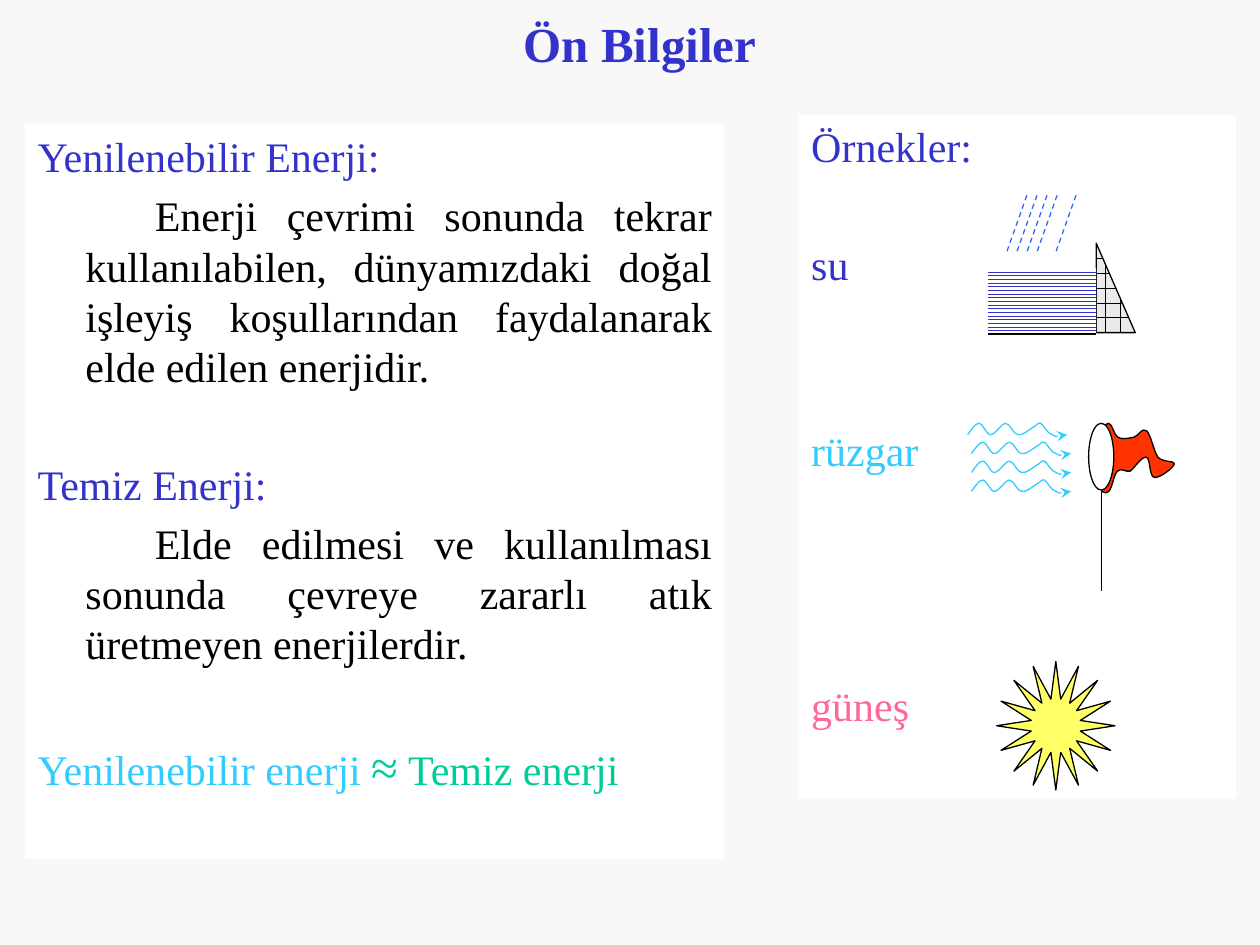
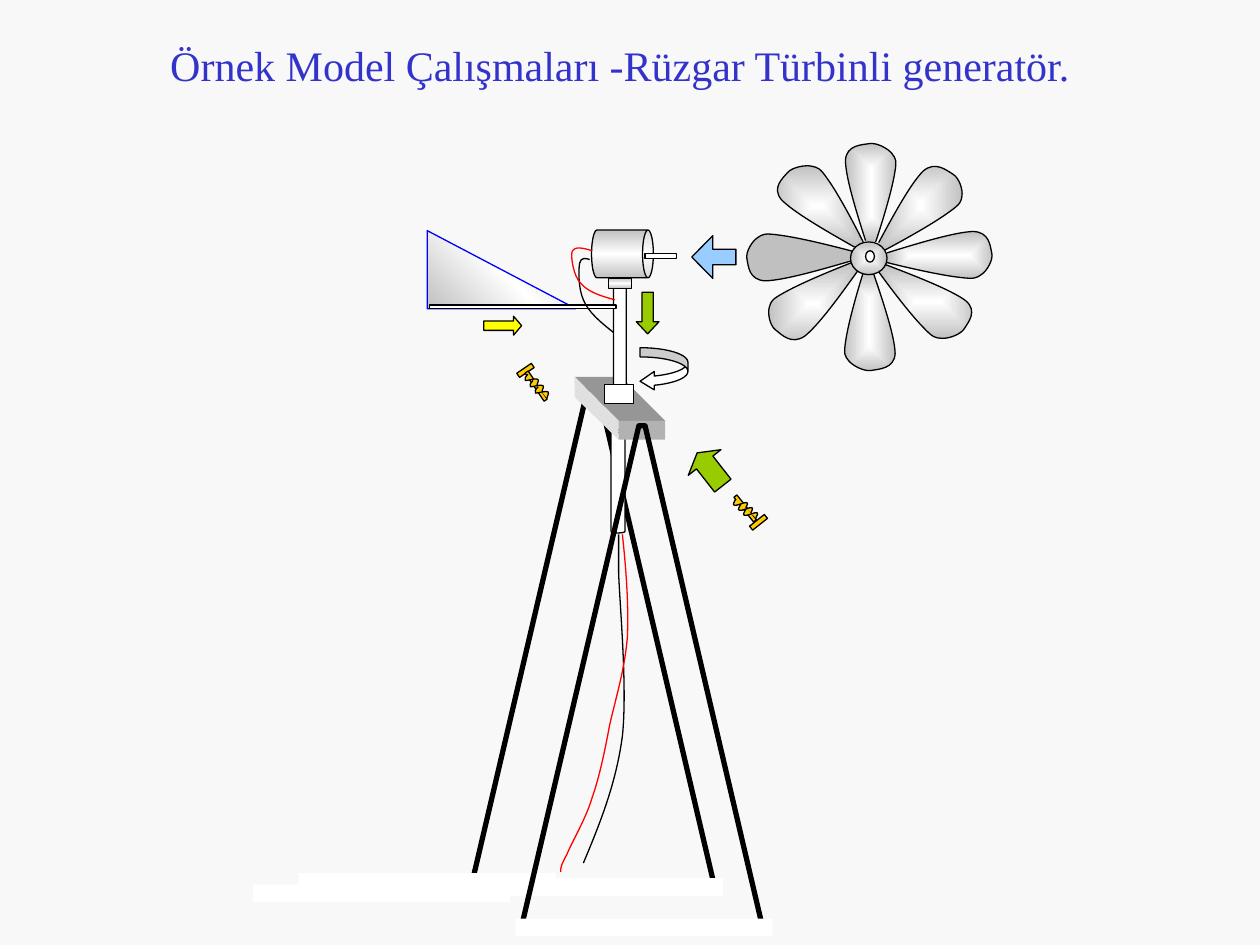
from math import cos, radians, sin

from lxml import etree
from pptx import Presentation
from pptx import util as u
from pptx.dml.color import RGBColor
from pptx.enum import dml, shapes, text
from pptx.oxml import parse_xml
from pptx.oxml.ns import nsdecls, qn

KIND = shapes.MSO_SHAPE
FONT = "Times New Roman"
BLUE, SKY, BLACK, WHITE = "3333CC", "33CCFF", "000000", "FFFFFF"
PAPER, SILVER, GOLD, LIME, RED = "F8F8F8", "C0C0C0", "FFCC00", "99CC00", "FF0000"
HANG = (0.38, -0.38)
FIRST = (0.38, 0.55)
SHEEN = (SILVER, WHITE, SILVER)


def inch(value):
    return u.Cm(value * 2.54)


def tint(code):
    return RGBColor.from_string(code)


def say(para, words, size=24, hue=BLUE, bold=False):
    run = para.add_run()
    run.text = words
    font = run.font
    font.name, font.size, font.bold = FONT, u.Pt(size), bold
    font.color.rgb = tint(hue)


def blend(hues, angle=None):
    last = len(hues) - 1
    stops = "".join(
        f'<a:gs pos="{100000 * i // last}"><a:srgbClr val="{hue}"/></a:gs>'
        for i, hue in enumerate(hues))
    if angle is None:
        way = ('<a:path path="rect"><a:fillToRect l="50000" t="50000" '
               'r="50000" b="50000"/></a:path>')
    else:
        way = f'<a:lin ang="{angle * 60000}" scaled="1"/>'
    return parse_xml(f'<a:gradFill {nsdecls("a")} rotWithShape="1">'
                     f'<a:gsLst>{stops}</a:gsLst>{way}</a:gradFill>')


def shift(dots, dx, dy):
    return [(x + dx, y + dy) for x, y in dots]


class Deck:
    def __init__(self):
        self.show = Presentation()
        self.show.slide_width, self.show.slide_height = inch(10), inch(7.5)

    def page(self):
        self.slide = self.show.slides.add_slide(self.show.slide_layouts[6])
        self.pool = self.slide.shapes
        fill = self.slide.background.fill
        fill.solid()
        fill.fore_color.rgb = tint(PAPER)

    def frame(self, x, y, w, h):
        box = self.pool.add_textbox(*map(inch, (x, y, w, h)))
        box.text_frame.word_wrap = True
        return box

    def title(self, runs, x, y, w, h):
        body = self.frame(x, y, w, h).text_frame
        body.vertical_anchor = text.MSO_ANCHOR.MIDDLE
        para = body.paragraphs[0]
        para.alignment = text.PP_ALIGN.CENTER
        for words, look in runs:
            say(para, words, **look)

    def panel(self, x, y, w, h, rows):
        box = self.frame(x, y, w, h)
        box.fill.solid()
        box.fill.fore_color.rgb = tint(WHITE)
        body = box.text_frame
        for i, (runs, gap, dent) in enumerate(rows):
            para = body.add_paragraph() if i else body.paragraphs[0]
            para.space_before = u.Pt(gap)
            if dent == FIRST:
                para.alignment = text.PP_ALIGN.JUSTIFY
            props = para._p.get_or_add_pPr()
            props.set("marL", str(inch(dent[0])))
            props.set("indent", str(inch(dent[1])))
            for words, look in runs:
                say(para, words, **look)

    def paint(self, item, fill=None, line=None, width=0.75, angle=None):
        item.shadow.inherit = False
        if isinstance(fill, tuple):
            item.fill.background()
            props = item._element.spPr
            props.replace(props.find(qn("a:noFill")), blend(fill, angle))
        elif fill:
            item.fill.solid()
            item.fill.fore_color.rgb = tint(fill)
        else:
            item.fill.background()
        if line:
            item.line.color.rgb = tint(line)
            item.line.width = u.Pt(width)
        else:
            item.line.fill.background()
        return item

    def shape(self, kind, x, y, w, h, fill=WHITE, line=BLACK, turn=0, adj=(), **look):
        item = self.pool.add_shape(kind, *map(inch, (x, y, w, h)))
        item.rotation = turn
        for i, value in enumerate(adj):
            item.adjustments[i] = value
        return self.paint(item, fill, line, **look)

    def weave(self, kind, x, y, w, h, style, fore, back, line=None):
        fill = self.shape(kind, x, y, w, h, line=line).fill
        fill.patterned()
        fill.pattern = style
        fill.fore_color.rgb, fill.back_color.rgb = tint(fore), tint(back)

    def trace(self, dots, fill=None, line=BLACK, close=False, **look):
        dots = [(inch(x), inch(y)) for x, y in dots]
        pen = self.pool.build_freeform(*dots[0])
        pen.add_line_segments(dots[1:], close=close)
        return self.paint(pen.convert_to_shape(), fill, line, **look)

    def curve(self, knots, fill=None, line=BLACK, tip=False):
        item = self.trace(knots, fill, line)
        legs = list(item._element.iter(qn("a:lnTo")))
        for i in range(0, len(legs), 3):
            arc = etree.Element(qn("a:cubicBezTo"))
            legs[i].addprevious(arc)
            for leg in legs[i:i + 3]:
                arc.append(leg[0])
                leg.getparent().remove(leg)
        if tip:
            edge = item.line._get_or_add_ln()
            etree.SubElement(edge, qn("a:tailEnd")).set("type", "stealth")

    def line(self, x, y, x2, y2, hue=BLACK, width=0.75, dash=False):
        item = self.pool.add_connector(
            shapes.MSO_CONNECTOR.STRAIGHT, *map(inch, (x, y, x2, y2)))
        item.line.color.rgb = tint(hue)
        item.line.width = u.Pt(width)
        if dash:
            item.line.dash_style = dml.MSO_LINE.DASH
        etree.SubElement(item._element.spPr, qn("a:effectLst"))


def row(words, gap=4.8, dent=HANG, **look):
    return [(words, look)], gap, dent


def basics(deck):
    deck.page()
    deck.title([("Ön Bilgiler", {"size": 28, "bold": True})], 0.83, 0, 8.5, 0.68)
    deck.panel(0.2, 0.99, 5.55, 5.83, [
        row("Yenilenebilir Enerji:", 5.4),
        row("Enerji çevrimi sonunda tekrar kullanılabilen, dünyamızdaki doğal "
            "işleyiş koşullarından faydalanarak elde edilen enerjidir.",
            dent=FIRST, hue=BLACK),
        row("Temiz Enerji:", 38.3),
        row("Elde edilmesi ve kullanılması sonunda çevreye zararlı atık "
            "üretmeyen enerjilerdir.", dent=FIRST, hue=BLACK),
        ([("Yenilenebilir enerji ", {"hue": SKY}),
          ("≈", {"size": 28, "hue": "00CC99"}),
          (" Temiz enerji", {"hue": "00CC99"})], 39, HANG)])
    deck.panel(6.34, 0.91, 3.47, 5.43, [
        row("Örnekler:", 5.4), row("su", 38.3), row("rüzgar", 77.5, hue=SKY),
        row("güneş", 117, hue="FF6699")])

    style = dml.MSO_PATTERN
    deck.weave(KIND.RIGHT_TRIANGLE, 8.7, 1.93, 0.31, 0.71,
               style.HORIZONTAL_BRICK, BLACK, "EAEAEA", BLACK)
    deck.weave(KIND.RECTANGLE, 7.84, 2.13, 0.86, 0.52, style.ZIG_ZAG, BLUE, WHITE)
    deck.line(7.84, 2.65, 8.7, 2.65, width=1)
    for x in (8.15, 8.23, 8.31, 8.39, 8.54):
        deck.line(x, 1.55, x - 0.16, 2, "3366FF", dash=True)

    wind = [
        (7.71, 3.6), (7.74, 3.56), (7.77, 3.51), (7.8, 3.51), (7.83, 3.51),
        (7.86, 3.6), (7.89, 3.6), (7.93, 3.6), (7.98, 3.51), (8.01, 3.51),
        (8.05, 3.51), (8.07, 3.6), (8.11, 3.6), (8.14, 3.61), (8.2, 3.56),
        (8.23, 3.54), (8.26, 3.53), (8.26, 3.5), (8.29, 3.51), (8.31, 3.52),
        (8.34, 3.59), (8.38, 3.6), (8.42, 3.62), (8.46, 3.61), (8.5, 3.6)]
    for i in range(4):
        deck.curve(shift(wind, 0 if i else -0.03, 0.15 * (i - 1)), line=SKY, tip=True)
    deck.line(8.74, 3.9, 8.74, 4.69)
    flag = [
        (8.74, 3.42), (8.76, 3.39), (8.78, 3.36), (8.8, 3.36), (8.83, 3.37),
        (8.84, 3.45), (8.87, 3.47), (8.9, 3.49), (8.96, 3.48), (9, 3.47),
        (9.04, 3.46), (9.06, 3.39), (9.1, 3.42), (9.13, 3.44), (9.16, 3.59),
        (9.19, 3.63), (9.23, 3.67), (9.33, 3.66), (9.32, 3.68), (9.32, 3.71),
        (9.2, 3.8), (9.16, 3.79), (9.12, 3.78), (9.13, 3.64), (9.1, 3.63),
        (9.06, 3.62), (9, 3.72), (8.97, 3.74), (8.93, 3.75), (8.9, 3.71),
        (8.87, 3.74), (8.84, 3.76), (8.83, 3.87), (8.8, 3.9), (8.78, 3.92),
        (8.76, 3.91), (8.74, 3.9)]
    deck.curve(flag, "FF3300")
    deck.shape(KIND.OVAL, 8.64, 3.36, 0.2, 0.53)
    deck.shape(KIND.STAR_16_POINT, 7.91, 5.25, 0.94, 1.02, "FFFF66", adj=[0.211])


def rotor(deck):
    hub, wide = (6.9, 2.04), 1.08
    blade = [
        (6.87, 1.91), (6.79, 1.66), (6.71, 1.4), (6.71, 1.27), (6.72, 1.15),
        (6.84, 1.15), (6.9, 1.14), (6.96, 1.13), (7.05, 1.18), (7.08, 1.22),
        (7.11, 1.26), (7.12, 1.27), (7.1, 1.38), (7.08, 1.5), (7.02, 1.71),
        (6.95, 1.92)]
    flat = [((x - hub[0]) / wide, y - hub[1]) for x, y in blade]
    for turn in (0, 179, 88, 230, 43, 269, 129, 318):
        c, s = cos(radians(turn)), sin(radians(turn))
        dots = [((x * c - y * s) * wide, x * s + y * c) for x, y in flat]
        deck.curve(shift(dots, *hub), SILVER if turn == 269 else (WHITE, SILVER))
    deck.shape(KIND.OVAL, 6.75, 1.92, 0.29, 0.26, (WHITE, SILVER))
    deck.shape(KIND.OVAL, 6.87, 1.99, 0.07, 0.09)


def foot(deck, x, y):
    deck.shape(KIND.RECTANGLE, x, y, 2.04, 0.14, line=None)


def legs(deck, x, y):
    deck.trace([(x, y + 3.97), (x + 0.93, y), (x + 0.98, y), (x + 1.91, y + 3.97)],
               close=True, width=3)


def screw(deck, head, stem, turn, coil, step):
    for spot in (head, stem):
        deck.shape(KIND.RECTANGLE, *spot, GOLD, turn=turn)
    for i in range(3):
        deck.curve(shift(coil, step[0] * i, step[1] * i), GOLD)


def turbine(deck):
    deck.page()
    deck.title([("Örnek Model Çalışmaları -Rüzgar Türbinli generatör.", {}),
                (" ", {"size": 28})], 0.62, 0.28, 8.7, 0.42)
    foot(deck, 2.01, 7.02)
    rotor(deck)
    deck.shape(KIND.RIGHT_TRIANGLE, 3.39, 1.83, 1.18, 0.62, SHEEN, "0000FF", angle=315)
    legs(deck, 3.75, 3.02)
    foot(deck, 3.7, 6.97)
    deck.shape(KIND.CAN, 4.85, 3.41, 0.11, 0.82, adj=[0.205])
    plate = [
        ("969696", [(4.56, 2.99), (4.93, 2.99), (5.28, 3.34), (4.91, 3.34)]),
        ("E0E0E0", [(4.56, 2.99), (4.91, 3.34), (4.91, 3.49), (4.56, 3.15)])]
    for hue, dots in plate:
        deck.trace(dots, hue, None, close=True)
    deck.shape(KIND.RECTANGLE, 4.91, 3.34, 0.37, 0.15, "B2B2B2", None)
    deck.shape(KIND.CAN, 4.87, 2.19, 0.1, 0.96, adj=[0.269])
    deck.shape(KIND.CAN, 4.75, 1.77, 0.38, 0.49, SHEEN, turn=90, adj=[0.225], angle=0)
    deck.shape(KIND.RECTANGLE, 4.83, 2.21, 0.18, 0.08, SHEEN, angle=90)
    deck.shape(KIND.RECTANGLE, 4.8, 3.05, 0.23, 0.15)
    foot(deck, 2.37, 6.93)
    legs(deck, 4.14, 3.38)
    foot(deck, 4.09, 7.29)
    deck.shape(KIND.RECTANGLE, 3.41, 2.42, 1.48, 0.03)
    deck.shape(KIND.RECTANGLE, 5.12, 2.01, 0.25, 0.04)

    wires = [
        (BLACK, [(4.68, 2.06), (4.65, 2.05), (4.61, 2.04), (4.6, 2.09), (4.59, 2.15),
                 (4.59, 2.29), (4.63, 2.38), (4.67, 2.48), (4.77, 2.56), (4.87, 2.64)]),
        (RED, [(4.7, 1.99), (4.63, 1.97), (4.56, 1.95), (4.54, 2), (4.53, 2.04),
               (4.55, 2.19), (4.61, 2.25), (4.67, 2.32), (4.77, 2.35), (4.88, 2.38)]),
        (BLACK, [(4.91, 4.24), (4.91, 4.26), (4.91, 4.28), (4.91, 4.55), (4.92, 4.82),
                 (4.98, 5.46), (4.94, 5.84), (4.89, 6.22), (4.76, 6.54), (4.63, 6.85)]),
        (RED, [(4.94, 4.24), (4.97, 4.52), (4.99, 4.8), (4.98, 5.05), (4.96, 5.31),
               (4.89, 5.53), (4.84, 5.75), (4.8, 5.96), (4.76, 6.16), (4.7, 6.33),
               (4.65, 6.5), (4.54, 6.68), (4.5, 6.78), (4.45, 6.87), (4.45, 6.89),
               (4.45, 6.92)])]
    for hue, knots in wires:
        deck.curve(knots, line=hue)

    screw(deck, (4.15, 2.87, 0.04, 0.14), (4.12, 3.05, 0.27, 0.03), 55.9,
          [(4.19, 2.97), (4.17, 2.99), (4.16, 3.01), (4.17, 3.02), (4.19, 3.02),
           (4.25, 3), (4.27, 3.01), (4.28, 3.01), (4.27, 3.03), (4.26, 3.06)],
          (0.04, 0.05))
    screw(deck, (6, 4.07, 0.04, 0.15), (5.79, 4.02, 0.25, 0.03), 231.6,
          [(6, 4.11), (6.01, 4.09), (6.02, 4.07), (6.01, 4.07), (6, 4.06),
           (5.92, 4.1), (5.91, 4.09), (5.89, 4.09), (5.91, 4.06), (5.92, 4.04)],
          (-0.04, -0.04))

    deck.shape(KIND.LEFT_ARROW, 5.47, 3.56, 0.33, 0.33, LIME, turn=51.9, adj=[0.5, 0.293])
    deck.shape(KIND.RIGHT_ARROW, 3.84, 2.51, 0.3, 0.15, "FFFF00", adj=[0.5, 0.423])
    deck.shape(KIND.LEFT_ARROW, 5.49, 1.87, 0.35, 0.34, "99CCFF", adj=[0.363, 0.492])
    deck.shape(KIND.DOWN_ARROW, 5.05, 2.32, 0.18, 0.33, LIME, adj=[0.5, 0.531])
    deck.shape(KIND.CURVED_LEFT_ARROW, 5.08, 2.76, 0.38, 0.34, adj=[0.216, 0.431, 0.333])


def main():
    deck = Deck()
    basics(deck)
    turbine(deck)
    deck.show.save("out.pptx")


if __name__ == "__main__":
    main()
